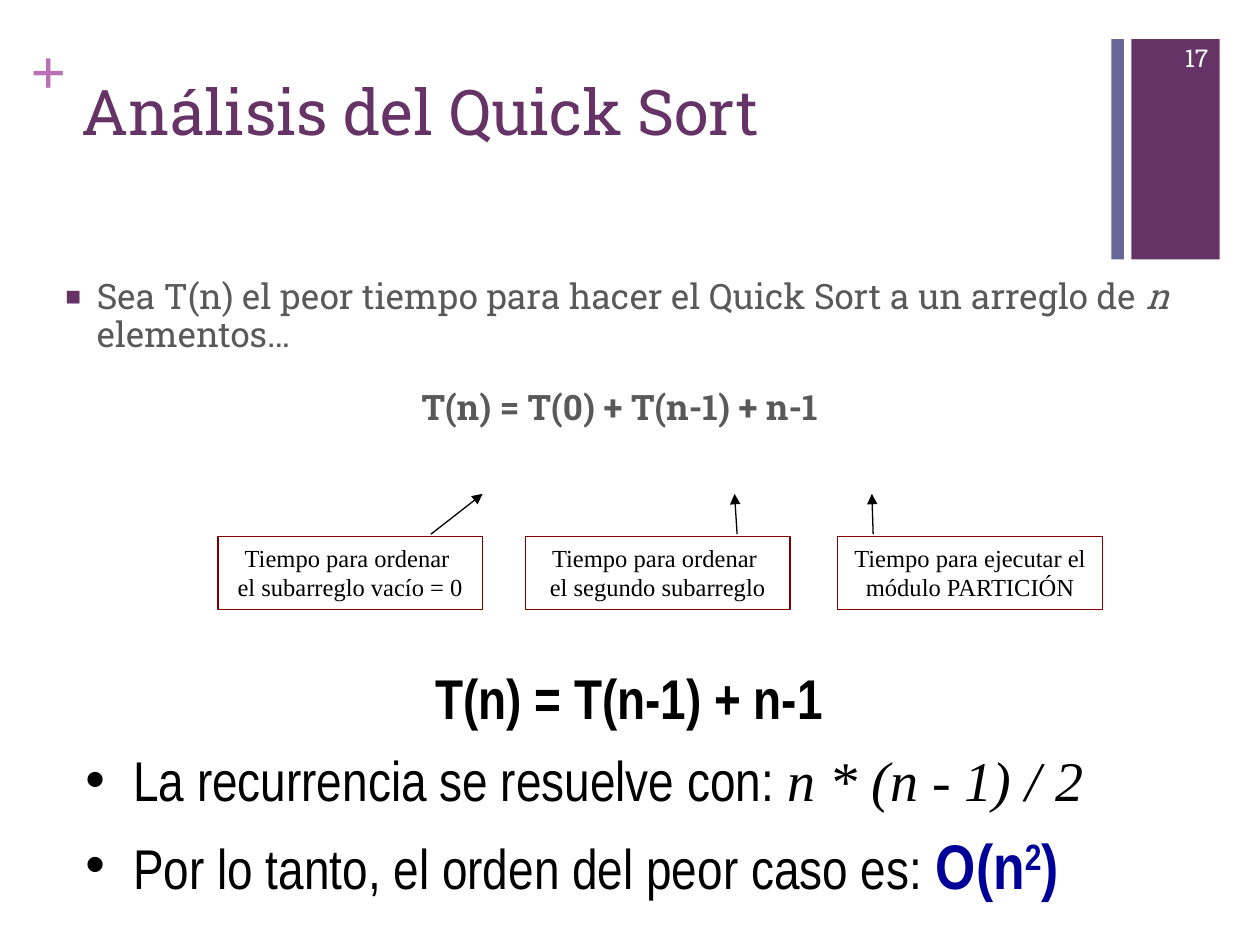
import dataclasses
import typing

import lxml.etree
import pptx
import pptx.dml.color
import pptx.enum.shapes
import pptx.enum.text
import pptx.oxml.ns
import pptx.util

WIDTH, HEIGHT = 10, 7.5
SLAB, TIMES, NARROW = "Roboto Slab", "Times New Roman", "Arial Narrow"
PURPLE, BLUE, GRAY, BLACK = "663366", "666699", "595959", "000000"
CALLOUT_TOP, CALLOUT_WIDTH, CALLOUT_HEIGHT = 4.26, 2.1, 0.58
ARROW_BOTTOM, ARROW_TOP = 4.24, 3.92
ALIGN = pptx.enum.text.PP_ALIGN
ANCHOR = pptx.enum.text.MSO_ANCHOR


@dataclasses.dataclass
class Span:
    text: str
    font: str
    size: float
    color: str
    bold: bool = False
    italic: bool = False
    raised: int = 0


@dataclasses.dataclass
class Para:
    spans: list[Span]
    align: typing.Any = ALIGN.LEFT
    before: float = 0
    spacing: float = 1
    indent: float = 0
    bullet: str = ""
    bullet_color: str = BLACK
    bullet_percent: int = 100


@dataclasses.dataclass
class Callout:
    left: float
    lines: tuple[str, str]
    arrow_start: float
    arrow_end: float


def rgb(code: str) -> pptx.dml.color.RGBColor:
    return pptx.dml.color.RGBColor.from_string(code)


def add_xml(parent: typing.Any, tag: str, **attributes: str) -> typing.Any:
    return lxml.etree.SubElement(parent, pptx.oxml.ns.qn(tag), **attributes)


def write_para(target: typing.Any, para: Para) -> None:
    target.alignment = para.align
    target.space_before = pptx.util.Pt(para.before)
    target.line_spacing = para.spacing
    properties = target._p.get_or_add_pPr()
    if para.indent:
        length = pptx.util.Inches(para.indent)
        properties.set("marL", str(length))
        properties.set("indent", str(-length))
    if para.bullet:
        add_xml(add_xml(properties, "a:buClr"), "a:srgbClr", val=para.bullet_color)
        add_xml(properties, "a:buSzPct", val=str(para.bullet_percent * 1000))
        add_xml(properties, "a:buFont", typeface="Arial")
        add_xml(properties, "a:buChar", char=para.bullet)
    for span in para.spans:
        run = target.add_run()
        run.text = span.text
        run.font.name = span.font
        run.font.size = pptx.util.Pt(span.size)
        run.font.color.rgb = rgb(span.color)
        run.font.bold = span.bold
        run.font.italic = span.italic
        if span.raised:
            run._r.get_or_add_rPr().set("baseline", str(span.raised * 1000))


def fill_frame(box: typing.Any, paras: list[Para], anchor: typing.Any = ANCHOR.TOP,
               padded: bool = True) -> None:
    frame = box.text_frame
    frame.word_wrap = True
    frame.vertical_anchor = anchor
    if not padded:
        frame.margin_left = frame.margin_right = 0
        frame.margin_top = frame.margin_bottom = 0
    for index, para in enumerate(paras):
        target = frame.add_paragraph() if index else frame.paragraphs[0]
        write_para(target, para)


def add_text(page: typing.Any, place: tuple, paras: list[Para], **options: typing.Any) -> None:
    box = page.shapes.add_textbox(*map(pptx.util.Inches, place))
    fill_frame(box, paras, **options)


def add_rectangle(page: typing.Any, place: tuple, fill: str = "", line: str = "") -> typing.Any:
    box = page.shapes.add_shape(pptx.enum.shapes.MSO_SHAPE.RECTANGLE,
                                *map(pptx.util.Inches, place))
    box.shadow.inherit = False
    if fill:
        box.fill.solid()
        box.fill.fore_color.rgb = rgb(fill)
    else:
        box.fill.background()
    if line:
        box.line.color.rgb = rgb(line)
        box.line.width = pptx.util.Pt(0.75)
    else:
        box.line.fill.background()
    return box


def add_arrow(page: typing.Any, start: tuple, end: tuple) -> None:
    arrow = page.shapes.add_connector(pptx.enum.shapes.MSO_CONNECTOR.STRAIGHT,
                                      *map(pptx.util.Inches, start + end))
    arrow.line.color.rgb = rgb(BLACK)
    arrow.line.width = pptx.util.Pt(0.75)
    add_xml(arrow.line._get_or_add_ln(), "a:tailEnd", type="triangle")
    add_xml(arrow._element.spPr, "a:effectLst")


def add_callout(page: typing.Any, callout: Callout) -> None:
    box = add_rectangle(page, (callout.left, CALLOUT_TOP, CALLOUT_WIDTH, CALLOUT_HEIGHT),
                        line="800000")
    fill_frame(box, [Para([Span(line, TIMES, 14, BLACK)], ALIGN.CENTER)
                     for line in callout.lines])
    add_arrow(page, (callout.arrow_start, ARROW_BOTTOM), (callout.arrow_end, ARROW_TOP))


deck = pptx.Presentation()
deck.slide_width = pptx.util.Inches(WIDTH)
deck.slide_height = pptx.util.Inches(HEIGHT)
page = deck.slides.add_slide(deck.slide_layouts[6])

for left, width, color in ((8.98, 0.7, PURPLE), (8.82, 0.1, BLUE)):
    add_rectangle(page, (left, 0.31, width, 1.75), fill=color)

add_text(page, (0.24, 0.25, 0.29, 0.61),
         [Para([Span("+", TIMES, 36, "B870B8", bold=True)])], padded=False)
add_text(page, (0.55, 0.53, 8.26, 1.22),
         [Para([Span("Análisis del Quick Sort", SLAB, 36, PURPLE)])])
add_text(page, (9.08, 0.26, 0.61, 0.4),
         [Para([Span("17", SLAB, 14, "FFFFFF")], ALIGN.RIGHT)], anchor=ANCHOR.MIDDLE)

add_text(page, (0.42, 2.17, 9, 2.75), [
    Para([Span("Sea T(n) el peor tiempo para hacer el Quick Sort a un arreglo de ",
               SLAB, 20, GRAY),
          Span("n", SLAB, 20, GRAY, italic=True),
          Span(" elementos…", SLAB, 20, GRAY)],
         before=20, spacing=0.9, indent=0.25,
         bullet="■", bullet_color=PURPLE, bullet_percent=75),
    Para([Span("T(n) = T(0) + T(n-1) + n-1", SLAB, 20, GRAY, bold=True)],
         ALIGN.CENTER, before=20, spacing=0.9, indent=0.25),
])

for callout in (
    Callout(1.73, ("Tiempo para ordenar ", "el subarreglo vacío = 0"), 3.42, 3.83),
    Callout(4.17, ("Tiempo para ordenar ", "el segundo subarreglo"), 5.85, 5.83),
    Callout(6.65, ("Tiempo para ejecutar el", "módulo PARTICIÓN"), 6.93, 6.92),
):
    add_callout(page, callout)

ORDER = {"font": NARROW, "size": 36, "color": "000099", "bold": True}
add_text(page, (0.58, 5.22, 8.83, 1.77), [
    Para([Span("T(n) = T(n-1) + n-1", NARROW, 32, BLACK, bold=True)],
         ALIGN.CENTER, before=8, indent=0.38),
    Para([Span("La recurrencia se resuelve con: ", NARROW, 32, BLACK),
          Span("n * (n - 1) / 2", TIMES, 32, BLACK, italic=True)],
         before=8, indent=0.38, bullet="•"),
    Para([Span("Por lo tanto, el orden del peor caso es: ", NARROW, 32, BLACK),
          Span("O(n", **ORDER), Span("2", raised=30, **ORDER), Span(")", **ORDER)],
         before=8, indent=0.38, bullet="•"),
])

deck.save("out.pptx")
